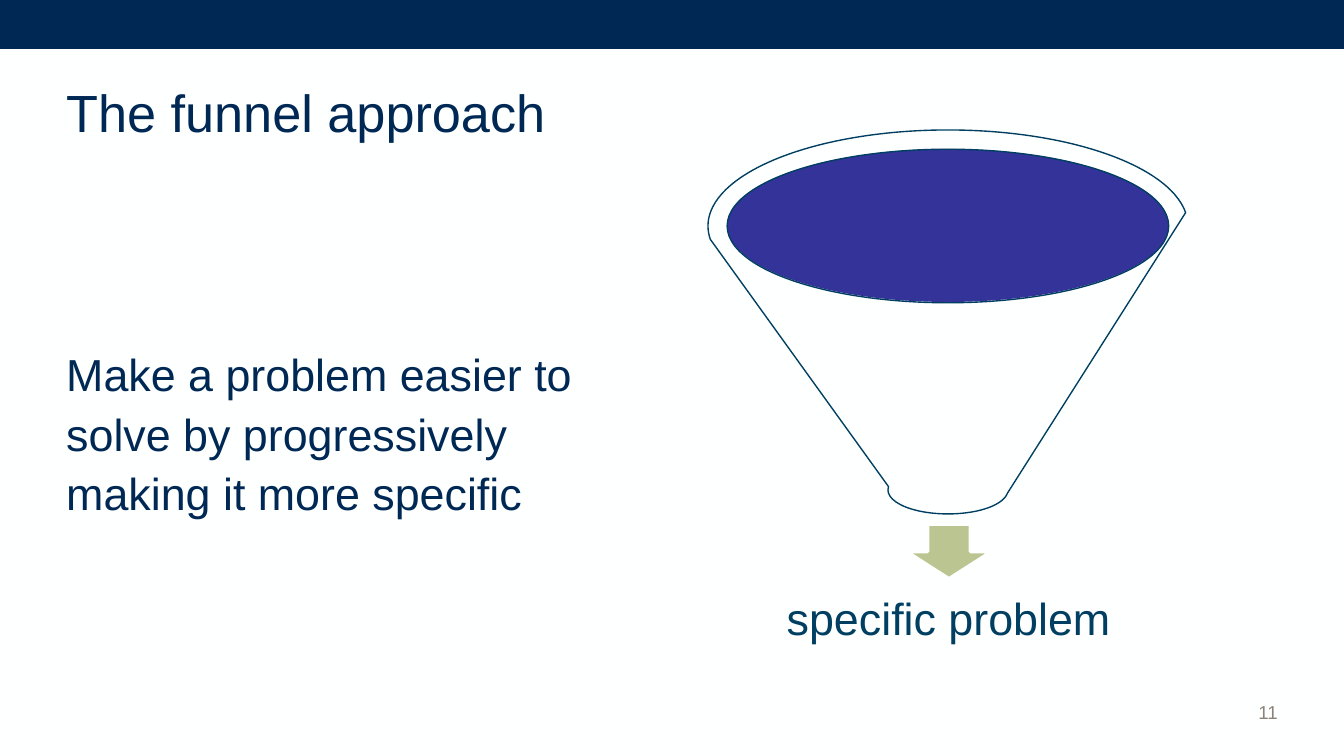
from pptx import Presentation, util as u
from pptx.dml.color import RGBColor
from pptx.enum import shapes, text
from pptx.oxml.ns import qn
from lxml import etree

PX = 914400 / 134.4
NAVY, TEAL, WHITE = "002855", "003F62", "FEFFFF"


def px(length):
    return u.Emu(round(length * PX))


def paint(colour_format, value):
    colour_format.rgb = RGBColor.from_string(value)


def add_figure(page, kind, place, fill, line=None, line_width=0, opacity=100):
    figure = page.shapes.add_shape(kind, *map(px, place))
    figure.shadow.inherit = False
    figure.fill.solid()
    paint(figure.fill.fore_color, fill)
    if opacity < 100:
        colour = figure.fill._xPr.find(qn("a:solidFill"))[0]
        etree.SubElement(colour, qn("a:alpha"), val=str(opacity * 1000))
    if line:
        paint(figure.line.color, line)
        figure.line.width = u.Pt(line_width)
    else:
        figure.line.fill.background()


def add_words(page, words, place, size, colour, align=text.PP_ALIGN.LEFT,
              anchor=text.MSO_ANCHOR.MIDDLE, spacing=1.0):
    box = page.shapes.add_textbox(*map(px, place))
    frame = box.text_frame
    frame.word_wrap = True
    frame.vertical_anchor = anchor
    frame.text = words
    para = frame.paragraphs[0]
    para.alignment = align
    para.line_spacing = spacing
    para.font.name = "Arial"
    para.font.size = u.Pt(size)
    for span in para.runs:
        span.font.name = "Arial"
        span.font.size = u.Pt(size)
        paint(span.font.color, colour)
    return para


def add_funnel(page):
    kinds = shapes.MSO_SHAPE
    add_figure(page, kinds.OVAL, (727, 149, 442, 153), "333399")
    add_figure(page, kinds.DOWN_ARROW, (906, 524, 86, 55), "BBC592", WHITE, 2)
    add_words(page, "specific problem", (743, 569, 411, 103), 24, TEAL,
              align=text.PP_ALIGN.CENTER, spacing=0.9)
    add_figure(page, kinds.FUNNEL, (708, 130, 480, 384), WHITE, TEAL, 0.75, 40)


def main():
    deck = Presentation()
    deck.slide_width, deck.slide_height = px(1344), px(756)
    page = deck.slides.add_slide(deck.slide_layouts[6])
    page.background.fill.solid()
    paint(page.background.fill.fore_color, WHITE)

    add_figure(page, shapes.MSO_SHAPE.RECTANGLE, (0, 0, 1344, 49), NAVY)
    add_words(page, "11", (1185, 671, 106, 59), 10, "8C8279",
              align=text.PP_ALIGN.RIGHT, anchor=text.MSO_ANCHOR.BOTTOM)
    add_words(page, "The funnel approach", (53, 52, 1238, 132), 28, NAVY,
              spacing=u.Pt(27))
    body = add_words(
        page,
        "Make a problem easier to solve by progressively making it more specific",
        (53, 190, 552, 481), 24, NAVY, spacing=1.1)
    body.space_after = u.Pt(3)
    add_funnel(page)
    deck.save("out.pptx")


if __name__ == "__main__":
    main()
